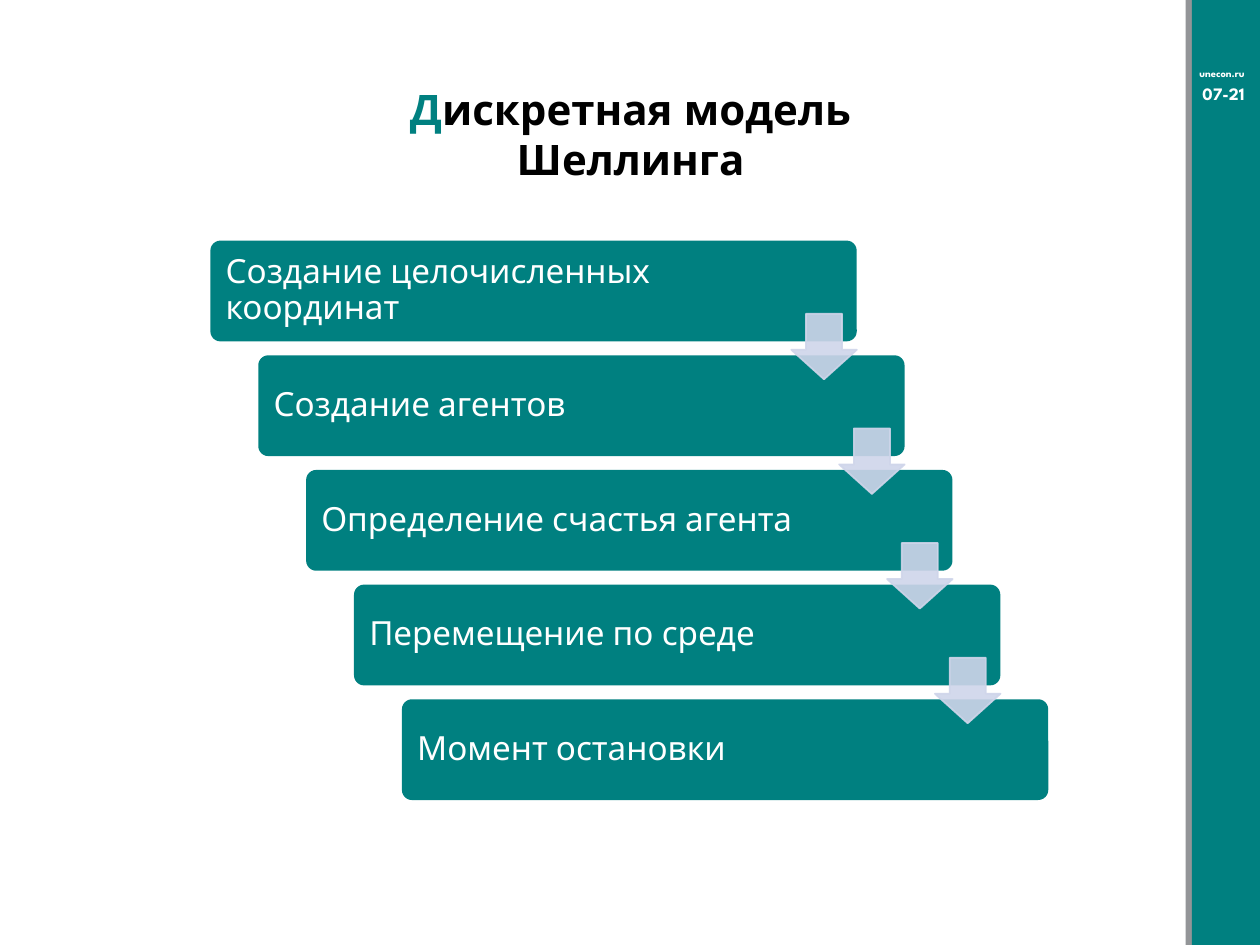
from dataclasses import dataclass

from lxml.etree import SubElement
from pptx import Presentation
from pptx.dml.color import RGBColor
from pptx.enum.shapes import MSO_SHAPE
from pptx.enum.text import MSO_ANCHOR, MSO_AUTO_SIZE, PP_ALIGN
from pptx.oxml.ns import qn
from pptx.util import Inches, Pt

FONT = "League Spartan"
TEAL = RGBColor(0x00, 0x80, 0x80)
GRAY = RGBColor(0x93, 0x95, 0x98)
LAVENDER = RGBColor(0xCF, 0xD5, 0xEA)
WHITE = RGBColor(0xFF, 0xFF, 0xFF)
BLACK = RGBColor(0x00, 0x00, 0x00)

STEP_WIDTH, STEP_HEIGHT = 5.13, 0.8
FIRST_LEFT, FIRST_TOP = 1.67, 1.91
SHIFT_X, SHIFT_Y = 0.38, 0.91
ARROW_DX, ARROW_DY, ARROW_SIZE = 4.61, 0.58, 0.52


@dataclass
class Box:
    left: float
    top: float
    width: float
    height: float

    def lengths(self) -> list:
        return [Inches(v) for v in (self.left, self.top, self.width, self.height)]


@dataclass
class SideLabel:
    text: str
    box: Box
    size: int
    anchor: MSO_ANCHOR
    align: PP_ALIGN


STEPS = [
    "Создание целочисленных координат",
    "Создание агентов",
    "Определение счастья агента",
    "Перемещение по среде",
    "Момент остановки",
]
BARS = [(Box(9.41, 0, 0.06, 7.5), GRAY), (Box(9.46, 0, 0.54, 7.5), TEAL)]
SIDE_LABELS = [
    SideLabel("unecon.ru", Box(9.42, 0.48, 0.62, 0.2), 6, MSO_ANCHOR.MIDDLE, PP_ALIGN.LEFT),
    SideLabel("07-21", Box(9.42, 0.61, 0.58, 0.27), 10, MSO_ANCHOR.TOP, PP_ALIGN.CENTER),
]


def style_run(run, size: int, color: RGBColor, bold: bool = False) -> None:
    run.font.name = FONT
    run.font.size = Pt(size)
    run.font.bold = bold
    run.font.color.rgb = color


def add_filled(slide, kind: MSO_SHAPE, box: Box, color: RGBColor):
    shape = slide.shapes.add_shape(kind, *box.lengths())
    shape.shadow.inherit = False
    shape.fill.solid()
    shape.fill.fore_color.rgb = color
    shape.line.fill.background()
    return shape


def add_side_label(slide, label: SideLabel) -> None:
    frame = slide.shapes.add_textbox(*label.box.lengths()).text_frame
    frame.word_wrap = True
    frame.vertical_anchor = label.anchor
    frame.text = label.text
    paragraph = frame.paragraphs[0]
    paragraph.alignment = label.align
    style_run(paragraph.runs[0], label.size, WHITE, bold=True)


def add_step(slide, text: str, box: Box) -> None:
    step = add_filled(slide, MSO_SHAPE.ROUNDED_RECTANGLE, box, TEAL)
    step.adjustments[0] = 0.1
    frame = step.text_frame
    frame.word_wrap = True
    frame.vertical_anchor = MSO_ANCHOR.MIDDLE
    frame.margin_left, frame.margin_right = Inches(0.1), Inches(0.95)
    frame.text = text
    paragraph = frame.paragraphs[0]
    paragraph.alignment = PP_ALIGN.LEFT
    paragraph.line_spacing = 0.9
    style_run(paragraph.runs[0], 19, WHITE)


def add_step_arrow(slide, box: Box) -> None:
    arrow = add_filled(slide, MSO_SHAPE.DOWN_ARROW, box, LAVENDER)
    arrow.adjustments[0], arrow.adjustments[1] = 0.55, 0.45
    arrow.line.color.rgb = LAVENDER
    arrow.line.width = Pt(1)
    # Fill and outline are 90% opaque
    for color in arrow._element.spPr.iter(qn("a:srgbClr")):
        SubElement(color, qn("a:alpha"), val="90000")


def format_title(slide) -> None:
    title = slide.shapes.title
    title.left, title.top, title.width, title.height = Box(2.3, 0.61, 5.41, 0.9).lengths()
    frame = title.text_frame
    frame.word_wrap = True
    frame.auto_size = MSO_AUTO_SIZE.NONE
    frame.vertical_anchor = MSO_ANCHOR.TOP
    paragraph = frame.paragraphs[0]
    paragraph.alignment = PP_ALIGN.CENTER
    for text, color in (("Д", TEAL), ("искретная модель Шеллинга", BLACK)):
        run = paragraph.add_run()
        run.text = text
        style_run(run, 24, color, bold=True)


def main() -> None:
    deck = Presentation()
    deck.slide_width, deck.slide_height = Inches(10), Inches(7.5)
    slide = deck.slides.add_slide(deck.slide_layouts[5])
    format_title(slide)

    # Side band with its labels
    for box, color in BARS:
        add_filled(slide, MSO_SHAPE.RECTANGLE, box, color)
    for label in SIDE_LABELS:
        add_side_label(slide, label)

    # Staircase of steps, then the arrows between them on top
    corners = [(FIRST_LEFT + i * SHIFT_X, FIRST_TOP + i * SHIFT_Y) for i in range(len(STEPS))]
    for text, (left, top) in zip(STEPS, corners):
        add_step(slide, text, Box(left, top, STEP_WIDTH, STEP_HEIGHT))
    for left, top in corners[:-1]:
        add_step_arrow(slide, Box(left + ARROW_DX, top + ARROW_DY, ARROW_SIZE, ARROW_SIZE))

    deck.save("out.pptx")


if __name__ == "__main__":
    main()
